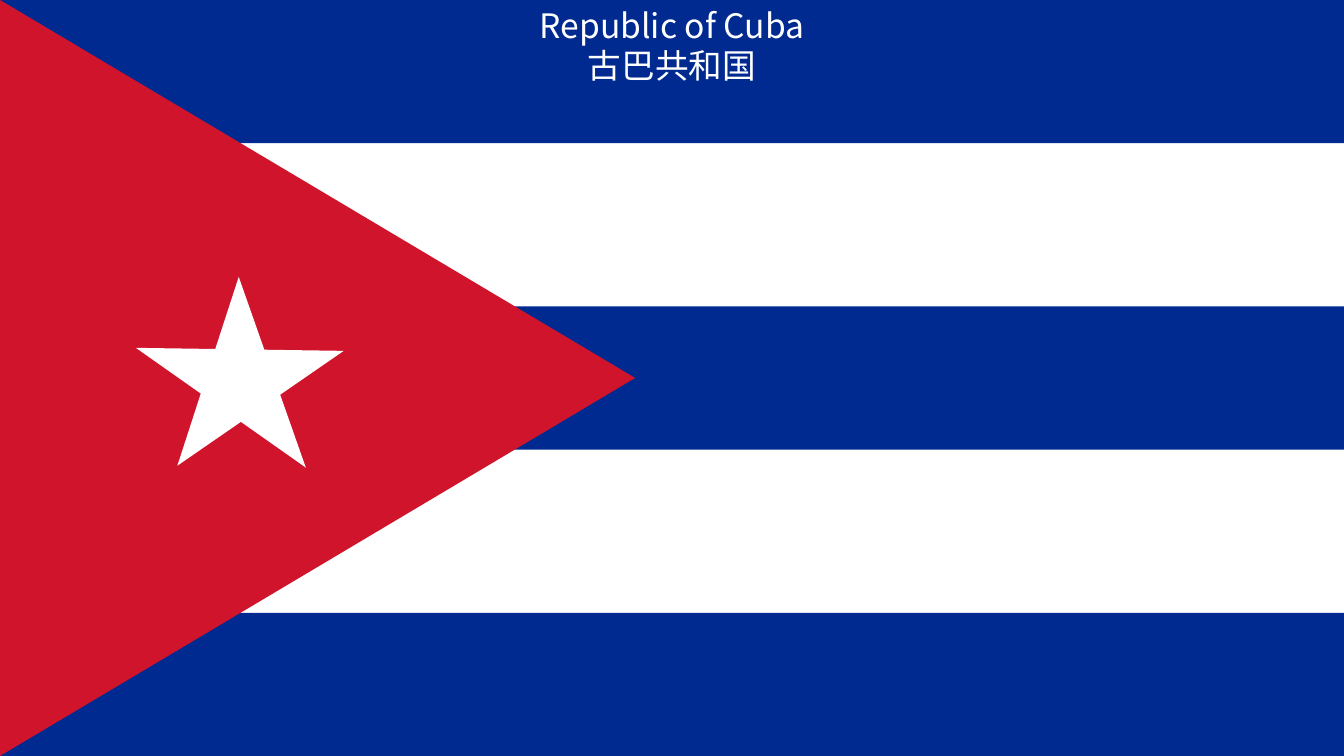
from dataclasses import dataclass
from pptx import Presentation
from pptx.dml.color import RGBColor
from pptx.enum import shapes, text
from pptx.oxml.ns import qn
from pptx.util import Inches, Pt

BLUE = RGBColor(0x00, 0x2A, 0x90)
RED = RGBColor(0xD0, 0x14, 0x2C)
WHITE = RGBColor(0xFF, 0xFF, 0xFF)
FONT = "Noto Sans CJK SC"
WIDE, HIGH = 13.33, 7.5
BAND = 1.42
TIP = 6.3


@dataclass
class Part:
    kind: shapes.MSO_SHAPE
    left: float
    top: float
    width: float
    height: float
    fill: RGBColor
    turn: float = 0


def paint(shape, fill: RGBColor) -> None:
    """Give a shape a plain fill with no line or shadow."""
    shape.fill.solid()
    shape.fill.fore_color.rgb = fill
    shape.line.fill.background()
    shape.shadow.inherit = False


def draw(slide, part: Part) -> None:
    """Draw one preset part of the flag."""
    box = map(Inches, (part.left, part.top, part.width, part.height))
    shape = slide.shapes.add_shape(part.kind, *box)
    shape.rotation = part.turn
    paint(shape, part.fill)


def wedge(slide) -> None:
    """Draw the red triangle at the hoist."""
    form = slide.shapes.build_freeform(0, 0)
    form.add_line_segments([(Inches(TIP), Inches(HIGH / 2)), (0, Inches(HIGH))])
    paint(form.convert_to_shape(), RED)


def label(slide, lines: list[str]) -> None:
    """Set the title in front of the flag."""
    title = slide.shapes.title
    title.left, title.top = Inches(0.76), Inches(0)
    title.width, title.height = Inches(11.81), Inches(0.91)
    frame = title.text_frame
    frame.word_wrap = True
    frame.auto_size = text.MSO_AUTO_SIZE.SHAPE_TO_FIT_TEXT
    frame.vertical_anchor = text.MSO_ANCHOR.TOP
    for row, line in enumerate(lines):
        para = frame.add_paragraph() if row else frame.paragraphs[0]
        para.alignment = text.PP_ALIGN.CENTER
        run = para.add_run()
        run.text = line
        run.font.size = Pt(24)
        run.font.name = FONT
        run.font.color.rgb = WHITE
        east = run.font._element.makeelement(qn("a:ea"), {"typeface": FONT})
        run.font._element.append(east)
    slide.shapes._spTree.append(title._element)


def main() -> None:
    """Build the flag slide and save it."""
    deck = Presentation()
    deck.slide_width, deck.slide_height = Inches(WIDE), Inches(HIGH)
    slide = deck.slides.add_slide(deck.slide_layouts[5])
    step = (HIGH - BAND) / 2
    for row in range(3):
        draw(slide, Part(shapes.MSO_SHAPE.RECTANGLE, 0, row * step, WIDE, BAND, BLUE))
    wedge(slide)
    draw(slide, Part(shapes.MSO_SHAPE.STAR_5_POINT, 1.3, 2.77, 1.97, 1.97, WHITE, 288))
    label(slide, ["Republic of Cuba", "古巴共和国"])
    deck.save("out.pptx")


if __name__ == "__main__":
    main()
